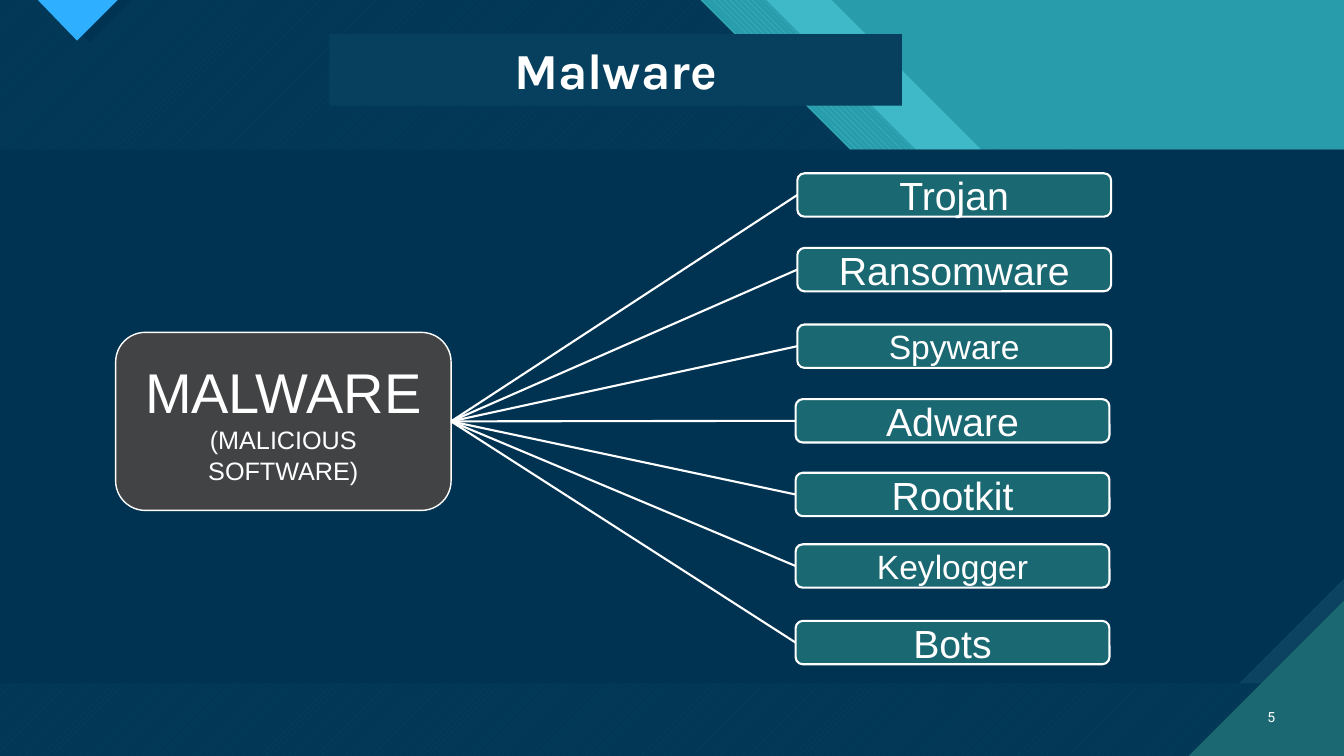
from lxml.etree import SubElement
from pptx import Presentation
from pptx.dml.color import RGBColor
from pptx.enum.dml import MSO_PATTERN
from pptx.enum.shapes import MSO_CONNECTOR, MSO_SHAPE
from pptx.enum.text import MSO_ANCHOR, MSO_AUTO_SIZE, PP_ALIGN
from pptx.oxml.ns import qn
from pptx.util import Pt

WHITE = RGBColor(0xFF, 0xFF, 0xFF)
NAVY = RGBColor(0x00, 0x33, 0x52)
STEEL = RGBColor(0x0C, 0x43, 0x60)
BANNER = RGBColor(0x06, 0x40, 0x5E)
TEAL = RGBColor(0x29, 0x9C, 0xAB)
AQUA = RGBColor(0x47, 0xC3, 0xD3)
PINE = RGBColor(0x1B, 0x68, 0x72)
TAG = RGBColor(0x1A, 0x68, 0x71)
GRAY = RGBColor(0x42, 0x43, 0x44)
BLUE = RGBColor(0x2F, 0xAF, 0xFF)

WIDE, HIGH = 960, 540
# name, top, text size
KINDS = [
    ("Trojan", 123.8, 28),
    ("Ransomware", 177.1, 28),
    ("Spyware", 231.8, 24),
    ("Adware", 285.1, 28),
    ("Rootkit", 337.7, 28),
    ("Keylogger", 388.8, 24),
    ("Bots", 443.5, 28),
]


def write(frame, *lines, font="Arial", color=WHITE, bold=False,
          align=PP_ALIGN.CENTER, anchor=MSO_ANCHOR.MIDDLE, space=None):
    """Fill a frame with one paragraph of (text, size) lines."""
    frame.word_wrap = True
    frame.auto_size = MSO_AUTO_SIZE.NONE
    frame.vertical_anchor = anchor
    para = frame.paragraphs[0]
    para.alignment = align
    para.line_spacing = space
    for i, (text, size) in enumerate(lines):
        if i:
            para.add_line_break()
        run = para.add_run()
        run.text = text
        run.font.name = font
        run.font.size = Pt(size)
        run.font.bold = bold
        run.font.color.rgb = color


def paint(shape, color, back=None, weave=None, alpha=None):
    """Give a shape a plain, woven or see-through fill and no outline."""
    shape.shadow.inherit = False
    shape.line.fill.background()
    if weave:
        shape.fill.patterned()
        shape.fill.pattern = weave
        shape.fill.fore_color.rgb = color
        shape.fill.back_color.rgb = back
    else:
        shape.fill.solid()
        shape.fill.fore_color.rgb = color
    if alpha:
        tone = shape._element.spPr.find(qn("a:solidFill"))[0]
        SubElement(tone, qn("a:alpha"), val=str(alpha * 1000))


def area(slide, points, color, **look):
    pen = slide.shapes.build_freeform(*points[0], scale=Pt(1))
    pen.add_line_segments(points[1:], close=True)
    paint(pen.convert_to_shape(), color, **look)


def backdrop(slide, wide, high):
    slide.background.fill.solid()
    slide.background.fill.fore_color.rgb = TEAL
    top, base, snip = 106.6, 488.2, 75.2

    # Slanted bands at the top right
    def band(left, right):
        return [(left, 0), (right, 0), (right + top, top), (left + top, top)]

    area(slide, band(547.2, 594), AQUA, alpha=74)
    area(slide, band(500.4, 547.2), AQUA, back=TEAL,
         weave=MSO_PATTERN.WIDE_DOWNWARD_DIAGONAL)

    # Dark ground, woven and then veiled
    ground = [(0, 0), (500.4, 0), (500.4 + top, top), (wide, top),
              (wide, high), (0, high)]
    area(slide, ground, AQUA, back=PINE,
         weave=MSO_PATTERN.WIDE_UPWARD_DIAGONAL)
    area(slide, ground, NAVY, alpha=90)

    # Blue notch and its shade
    area(slide, [(34.6, 0), (94.3, 0), (64.5, 29.5)], NAVY)
    area(slide, [(26.6, 0), (84.2, 0), (55.4, 28.8)], BLUE)

    # Main panel with a cut corner
    area(slide, [(wide, base - snip), (wide, base), (wide - snip, base)],
         STEEL)
    area(slide, [(0, top), (wide, top), (wide, base - snip),
                 (wide - snip, base), (0, base)], NAVY)

    # Corner triangle
    side = 110.9
    area(slide, [(wide - side, high), (wide, high), (wide, high - side)],
         PINE)


def heading(slide, left, top, wide, high):
    title = slide.shapes.title
    title.left, title.top = Pt(left), Pt(top)
    title.width, title.height = Pt(wide), Pt(high)
    title.fill.solid()
    title.fill.fore_color.rgb = BANNER
    write(title.text_frame, ("Malware", 36), font="Karla", bold=True,
          anchor=MSO_ANCHOR.BOTTOM, space=0.9)
    slide.shapes._spTree.append(title._element)  # bring to front


def node(slide, left, top, wide, high, color, weight, *lines):
    box = slide.shapes.add_shape(MSO_SHAPE.ROUNDED_RECTANGLE, Pt(left),
                                 Pt(top), Pt(wide), Pt(high))
    paint(box, color)
    box.line.color.rgb = WHITE
    box.line.width = Pt(weight)
    write(box.text_frame, *lines)
    return box


def link(slide, hub, leaf):
    line = slide.shapes.add_connector(MSO_CONNECTOR.STRAIGHT, 0, 0, 0, 0)
    line.begin_connect(hub, 3)
    line.end_connect(leaf, 1)
    line.line.color.rgb = WHITE
    line.line.width = Pt(1.5)
    SubElement(line._element.spPr, qn("a:effectLst"))


def tree(slide, left, wide):
    hub = node(slide, left, 237.4, 239.6, 127.2, GRAY, 1,
               ("MALWARE", 40), ("(MALICIOUS SOFTWARE)", 18))
    size = 224.2
    edge = left + wide - size
    for i, (name, top, font) in enumerate(KINDS):
        shift = 0 if i < 3 else -1.2
        leaf = node(slide, edge + shift, top, size, 31, TAG, 1.5,
                    (name, font))
        link(slide, hub, leaf)


def footer(slide, left, top, wide, high):
    box = slide.shapes.add_textbox(Pt(left), Pt(top), Pt(wide), Pt(high))
    write(box.text_frame, ("5", 10), font="Roboto", align=PP_ALIGN.RIGHT)


def main():
    deck = Presentation()
    deck.slide_width, deck.slide_height = Pt(WIDE), Pt(HIGH)
    slide = deck.slides.add_slide(deck.slide_layouts[5])
    backdrop(slide, WIDE, HIGH)
    heading(slide, 235.2, 24.3, 409, 51.1)
    tree(slide, 82.6, 711.1)
    footer(slide, 886.3, 497.5, 31.7, 28.8)
    deck.save("out.pptx")


if __name__ == "__main__":
    main()
